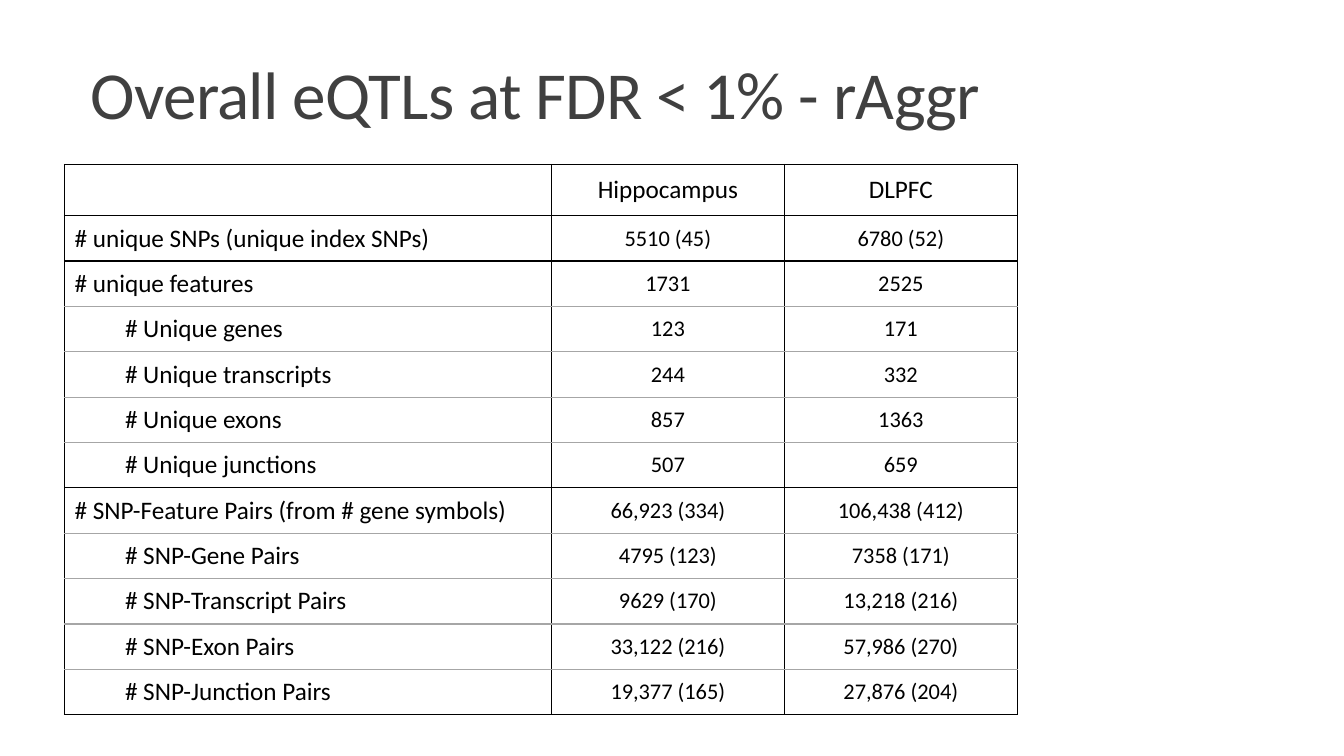
from dataclasses import dataclass

from lxml import etree
from pptx import Presentation
from pptx import util as u
from pptx.dml.color import RGBColor
from pptx.enum import text
from pptx.oxml import ns


@dataclass(frozen=True)
class Theme:
    """Colours, font and type sizes of the slide."""
    font: str = "Calibri"
    title: str = "404040"
    ink: str = "000000"
    rule: str = "A6A6A6"
    title_size: int = 48
    label_size: int = 18
    value_size: int = 16


THEME = Theme()
COLUMN_WIDTHS = (347.8, 166.4, 166.4)
HEADER_HEIGHT, ROW_HEIGHT = 36.7, 32.4
LABEL_INDENT = 43.2
HEADER = ("", "Hippocampus", "DLPFC")
GROUPS = [
    [("# unique SNPs (unique index SNPs)", "5510 (45)", "6780 (52)")],
    [
        ("# unique features", "1731", "2525"),
        ("# Unique genes", "123", "171"),
        ("# Unique transcripts", "244", "332"),
        ("# Unique exons", "857", "1363"),
        ("# Unique junctions", "507", "659"),
    ],
    [
        ("# SNP-Feature Pairs (from # gene symbols)", "66,923 (334)", "106,438 (412)"),
        ("# SNP-Gene Pairs", "4795 (123)", "7358 (171)"),
        ("# SNP-Transcript Pairs", "9629 (170)", "13,218 (216)"),
        ("# SNP-Exon Pairs", "33,122 (216)", "57,986 (270)"),
        ("# SNP-Junction Pairs", "19,377 (165)", "27,876 (204)"),
    ],
]


def add_run(p, content, size, color):
    """Add one formatted run to a paragraph."""
    r = p.add_run()
    r.text = content
    r.font.name = THEME.font
    r.font.size = u.Pt(size)
    r.font.color.rgb = RGBColor.from_string(color)
    return r


def set_title(s, content):
    """Place and fill the title placeholder."""
    sp = s.shapes.title
    sp.left, sp.top, sp.width, sp.height = map(u.Pt, (57.6, 32.4, 792, 66.2))
    tf = sp.text_frame
    tf.auto_size = text.MSO_AUTO_SIZE.NONE
    tf.vertical_anchor = text.MSO_ANCHOR.BOTTOM
    p = tf.paragraphs[0]
    p.alignment = text.PP_ALIGN.LEFT
    p.line_spacing = 0.85
    r = add_run(p, content, THEME.title_size, THEME.title)
    r.font._element.set("spc", "-50")


def set_borders(cell, top, bottom):
    """Draw black sides and the given top and bottom colours."""
    tc_pr = cell._tc.get_or_add_tcPr()
    sides = {"L": THEME.ink, "R": THEME.ink, "T": top, "B": bottom}
    for side, color in sides.items():
        ln = etree.SubElement(tc_pr, ns.qn(f"a:ln{side}"), w=str(u.Pt(1)))
        fill = etree.SubElement(ln, ns.qn("a:solidFill"))
        etree.SubElement(fill, ns.qn("a:srgbClr"), val=color)


def fill_cell(cell, content, size, centred, indented):
    """Clear the cell background and write its text."""
    cell.fill.background()
    cell.vertical_anchor = text.MSO_ANCHOR.MIDDLE
    if indented:
        cell.margin_left = u.Pt(LABEL_INDENT)
    if content:
        p = cell.text_frame.paragraphs[0]
        p.alignment = text.PP_ALIGN.CENTER if centred else text.PP_ALIGN.LEFT
        add_run(p, content, size, THEME.ink)


def add_counts_table(s, left, top):
    """Add the table, with grey rules above the detail rows of a group."""
    rows = [(HEADER, False)]
    rows += [(row, i > 0) for group in GROUPS for i, row in enumerate(group)]
    heights = [HEADER_HEIGHT] + [ROW_HEIGHT] * (len(rows) - 1)
    frame = s.shapes.add_table(len(rows), len(COLUMN_WIDTHS), u.Pt(left), u.Pt(top),
                               u.Pt(sum(COLUMN_WIDTHS)), u.Pt(sum(heights)))
    table = frame.table
    table.first_row = table.horz_banding = False
    for column, width in zip(table.columns, COLUMN_WIDTHS):
        column.width = u.Pt(width)
    rules = [THEME.rule if detail else THEME.ink for _, detail in rows] + [THEME.ink]
    for i, (row, detail) in enumerate(rows):
        table.rows[i].height = u.Pt(heights[i])
        for j, content in enumerate(row):
            cell = table.cell(i, j)
            size = THEME.value_size if i and j else THEME.label_size
            set_borders(cell, rules[i], rules[i + 1])
            fill_cell(cell, content, size, j > 0, detail and j == 0)


def main():
    """Build and save the slide."""
    prs = Presentation()
    prs.slide_width, prs.slide_height = u.Pt(960), u.Pt(540)
    s = prs.slides.add_slide(prs.slide_layouts[5])
    set_title(s, "Overall eQTLs at FDR < 1% - rAggr")
    add_counts_table(s, 46.1, 117.4)
    prs.save("out.pptx")


main()
